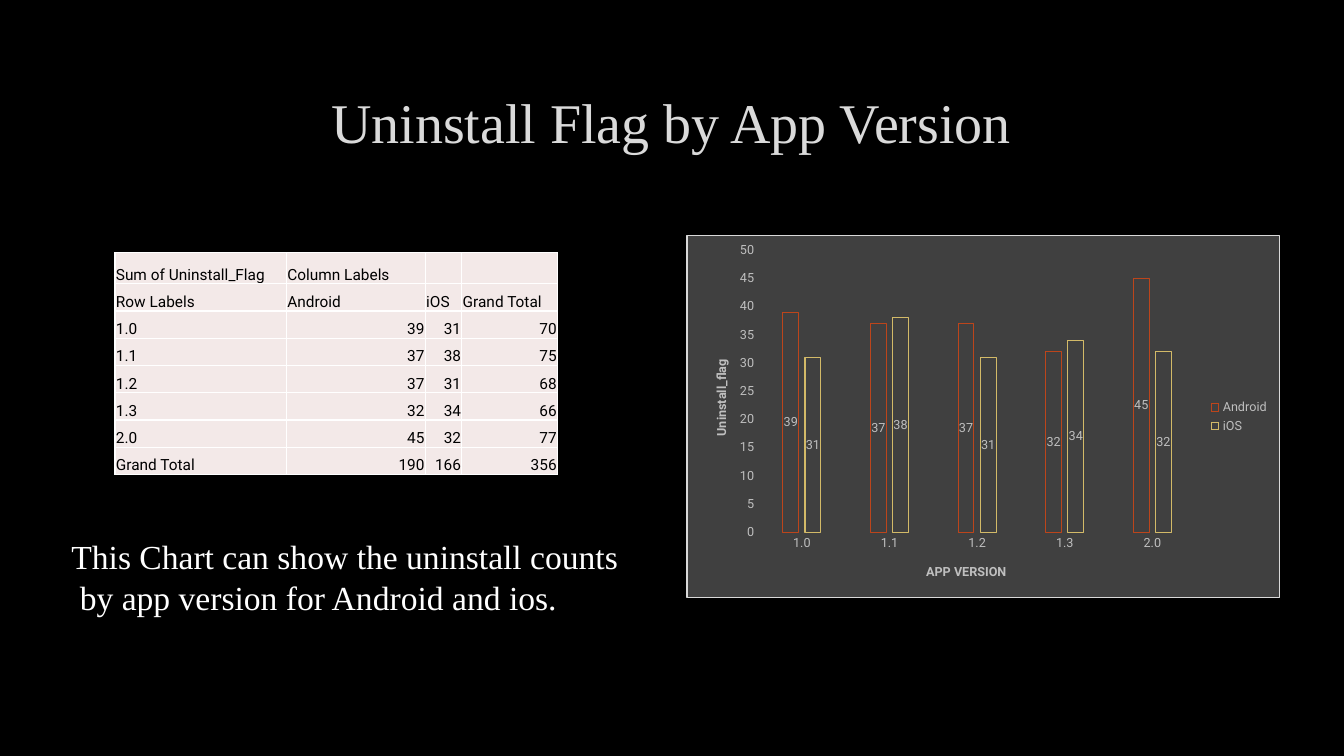
import dataclasses
import lxml.etree
import pptx
import pptx.chart.data
import pptx.dml.color
import pptx.enum.chart
import pptx.enum.text
import pptx.oxml
import pptx.oxml.ns
import pptx.util

Cm = pptx.util.Cm
Pt = pptx.util.Pt
qn = pptx.oxml.ns.qn
ALIGN = pptx.enum.text.PP_ALIGN
ANCHOR = pptx.enum.text.MSO_ANCHOR
CHART = pptx.enum.chart
SERIF, SANS = "Times New Roman", "Roboto"
WHITE, GRAY = "FFFFFF", "BFBFBF"


@dataclasses.dataclass
class Box:
    left: float
    top: float
    width: float
    height: float

    def place(self) -> tuple:
        return Cm(self.left), Cm(self.top), Cm(self.width), Cm(self.height)


@dataclasses.dataclass
class Series:
    name: str
    counts: list[int]
    line: str


@dataclasses.dataclass
class Axis:
    title: str
    left: float
    top: float


SERIES = [
    Series("Android", [39, 37, 37, 32, 45], "BC451B"),
    Series("iOS", [31, 38, 31, 34, 32], "D3BA68"),
]
CATS = ["1.0", "1.1", "1.2", "1.3", "2.0"]
AXES = [Axis("APP VERSION", 0.4, 0.9), Axis("Uninstall_flag", 0.04, 0.335)]
WIDTHS = [4.32, 3.5, 0.92, 2.41]


def color(code: str) -> pptx.dml.color.RGBColor:
    return pptx.dml.color.RGBColor.from_string(code)


def style(font, size: float, code: str, face: str, bold: bool = False) -> None:
    font.size = Pt(size)
    font.name = face
    font.bold = bold
    font.color.rgb = color(code)


def write(frame, text: str, *, size: float, code: str, face: str,
          bold: bool = False, align=ALIGN.LEFT, anchor=ANCHOR.TOP) -> None:
    frame.word_wrap = True
    frame.vertical_anchor = anchor
    for i, line in enumerate(text.split("\n")):
        para = frame.paragraphs[0] if i == 0 else frame.add_paragraph()
        para.alignment = align
        run = para.add_run()
        run.text = line
        style(run.font, size, code, face, bold)


def border(cell) -> None:
    props = cell._tc.get_or_add_tcPr()
    for i, side in enumerate(("lnL", "lnR", "lnT", "lnB")):
        line = lxml.etree.Element(qn(f"a:{side}"), w=str(Pt(1)))
        fill = lxml.etree.SubElement(line, qn("a:solidFill"))
        lxml.etree.SubElement(fill, qn("a:srgbClr"), val=WHITE)
        props.insert(i, line)


def draw_table(slide, box: Box) -> None:
    pairs = list(zip(*(s.counts for s in SERIES)))
    sums = [sum(s.counts) for s in SERIES]
    rows = [["Sum of Uninstall_Flag", "Column Labels", "", ""],
            ["Row Labels", *(s.name for s in SERIES), "Grand Total"]]
    rows += [[cat, *pair, sum(pair)] for cat, pair in zip(CATS, pairs)]
    rows.append(["Grand Total", *sums, sum(sums)])
    table = slide.shapes.add_table(len(rows), len(WIDTHS), *box.place()).table
    table.first_row = table.horz_banding = False
    for col, width in zip(table.columns, WIDTHS):
        col.width = Cm(width)
    for r, row in enumerate(rows):
        table.rows[r].height = Cm(box.height / len(rows))
        for c, value in enumerate(row):
            cell = table.cell(r, c)
            cell.margin_left = cell.margin_right = cell.margin_top = Cm(0.02)
            cell.margin_bottom = 0
            cell.vertical_anchor = ANCHOR.BOTTOM
            cell.fill.solid()
            cell.fill.fore_color.rgb = color("F3E9E8")
            border(cell)
            align = ALIGN.RIGHT if isinstance(value, int) else ALIGN.LEFT
            write(cell.text_frame, str(value), size=11, code="000000",
                  face=SANS, align=align, anchor=ANCHOR.BOTTOM)


def layout(parent, index: int, **parts) -> None:
    for old in parent.findall(qn("c:layout")):
        parent.remove(old)
    node = lxml.etree.Element(qn("c:layout"))
    man = lxml.etree.SubElement(node, qn("c:manualLayout"))
    for key, value in parts.items():
        lxml.etree.SubElement(man, qn(f"c:{key}"), val=str(value))
    parent.insert(index, node)


def paint(chart) -> None:
    xml = (f'<c:spPr {pptx.oxml.ns.nsdecls("c", "a")}>'
           '<a:solidFill><a:srgbClr val="404040"/></a:solidFill>'
           f'<a:ln w="{Pt(0.75)}"><a:solidFill><a:srgbClr val="D9D9D9"/>'
           '</a:solidFill></a:ln></c:spPr>')
    chart._chartSpace.chart.addnext(pptx.oxml.parse_xml(xml))


def draw_chart(slide, box: Box) -> None:
    data = pptx.chart.data.CategoryChartData()
    data.categories = CATS
    for item in SERIES:
        data.add_series(item.name, item.counts)
    chart = slide.shapes.add_chart(
        CHART.XL_CHART_TYPE.COLUMN_CLUSTERED, *box.place(), data).chart
    style(chart.font, 10, WHITE, SANS)
    paint(chart)
    chart.has_title = False
    chart.has_legend = True
    chart.legend.position = CHART.XL_LEGEND_POSITION.RIGHT
    chart.legend.include_in_layout = False
    style(chart.legend.font, 9, GRAY, SANS)
    for axis, info in zip((chart.category_axis, chart.value_axis), AXES):
        axis.has_major_gridlines = False
        axis.major_tick_mark = CHART.XL_TICK_MARK.NONE
        axis.minor_tick_mark = CHART.XL_TICK_MARK.NONE
        axis.format.line.fill.background()
        style(axis.tick_labels.font, 9, GRAY, SANS)
        write(axis.axis_title.text_frame, info.title, size=9, code=GRAY,
              face=SANS, bold=True, align=ALIGN.CENTER)
        layout(axis.axis_title._element, 1, xMode="edge", yMode="edge",
               x=info.left, y=info.top)
    chart.value_axis.axis_title.text_frame._txBody.bodyPr.set("rot", "-5400000")
    chart.value_axis.minimum_scale = 0
    chart.value_axis.maximum_scale = 50
    chart.value_axis.major_unit = 5
    plot = chart.plots[0]
    plot.vary_by_categories = False
    plot.gap_width, plot.overlap = 315, -40
    for bars, item in zip(plot.series, SERIES):
        bars.format.fill.background()
        bars.format.line.width = Pt(0.75)
        bars.format.line.color.rgb = color(item.line)
        labels = bars.data_labels
        labels.show_value = True
        labels.position = CHART.XL_LABEL_POSITION.CENTER
        style(labels.font, 9, GRAY, SANS)
    layout(chart._chartSpace.chart.plotArea, 0, layoutTarget="inner",
           xMode="edge", yMode="edge", x=0.12, y=0.04, w=0.74, h=0.78)


def main() -> None:
    deck = pptx.Presentation()
    deck.slide_width, deck.slide_height = Cm(33.87), Cm(19.05)
    slide = deck.slides.add_slide(deck.slide_layouts[6])
    slide.background.fill.solid()
    slide.background.fill.fore_color.rgb = color("000000")
    title = slide.shapes.add_textbox(*Box(2.54, 1.7, 28.75, 2.7).place())
    write(title.text_frame, "Uninstall Flag by App Version", size=40,
          code="DADADA", face=SERIF, align=ALIGN.CENTER, anchor=ANCHOR.MIDDLE)
    draw_chart(slide, Box(17.3, 5.93, 14.95, 9.14))
    draw_table(slide, Box(2.9, 6.37, 11.15, 5.49))
    note = slide.shapes.add_textbox(*Box(1.55, 13.39, 16.94, 2.31).place())
    write(note.text_frame, "This Chart can show the uninstall counts\n"
          " by app version for Android and ios.", size=24, code=WHITE, face=SERIF)
    deck.save("out.pptx")


if __name__ == "__main__":
    main()
